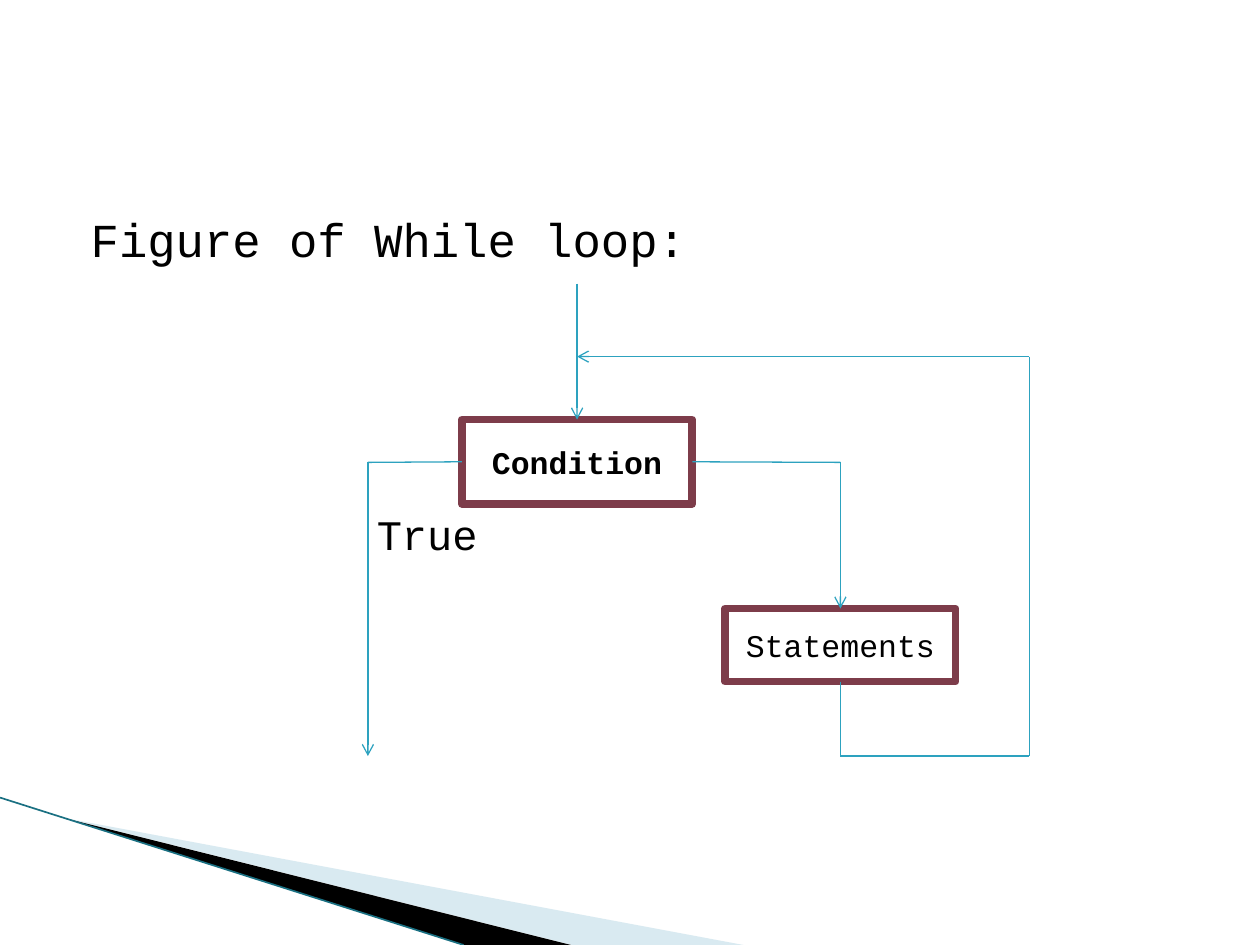
from lxml import etree
from pptx import Presentation
from pptx.dml.color import RGBColor
from pptx.enum.shapes import MSO_CONNECTOR, MSO_SHAPE
from pptx.enum.text import MSO_ANCHOR, MSO_AUTO_SIZE, PP_ALIGN
from pptx.oxml.ns import qn
from pptx.util import Inches, Pt

BLACK = RGBColor(0x00, 0x00, 0x00)
WHITE = RGBColor(0xFF, 0xFF, 0xFF)
MAROON = RGBColor(0x7D, 0x3C, 0x4A)
TEAL = RGBColor(0x2D, 0xA2, 0xBF)
DARK_TEAL = RGBColor(0x1A, 0x70, 0x82)
PALE_BLUE = RGBColor(0xA0, 0xCB, 0xDC)

STRAIGHT = MSO_CONNECTOR.STRAIGHT
RECTANGLE = MSO_SHAPE.RECTANGLE
MIDDLE, CENTER = MSO_ANCHOR.MIDDLE, PP_ALIGN.CENTER
NO_AUTOFIT = MSO_AUTO_SIZE.NONE
TOP, LEFT, BOTTOM, RIGHT = range(4)


class FlowSlide:
    font = "Courier New"

    def __init__(self, slide):
        self.slide = slide
        self.shapes = slide.shapes

    def style_text(self, paragraph, size, bold=False):
        paragraph.font.name = self.font
        paragraph.font.size = Pt(size)
        paragraph.font.bold = bold
        paragraph.font.color.rgb = BLACK

    def body(self, lines, left, top, width, height):
        """Fill the body with (text, size, left margin, indent, space before) lines."""
        body = self.slide.placeholders[1]
        body.left, body.top = Inches(left), Inches(top)
        body.width, body.height = Inches(width), Inches(height)
        frame = body.text_frame
        frame.auto_size = NO_AUTOFIT
        for number, (text, size, margin, indent, before) in enumerate(lines):
            paragraph = frame.add_paragraph() if number else frame.paragraphs[0]
            paragraph.text = text
            paragraph.space_before = Pt(before)
            self.style_text(paragraph, size)
            properties = paragraph._p.get_or_add_pPr()
            properties.set("marL", str(Inches(margin)))
            properties.set("indent", str(Inches(indent)))
            etree.SubElement(properties, qn("a:buNone"))
            # The schema wants the bullet ahead of the default run properties.
            properties.append(properties.find(qn("a:defRPr")))

    def box(self, text, left, top, width, height, bold=False):
        box = self.shapes.add_shape(
            RECTANGLE, Inches(left), Inches(top), Inches(width), Inches(height))
        box.shadow.inherit = False
        box.fill.solid()
        box.fill.fore_color.rgb = WHITE
        box.line.color.rgb = MAROON
        box.line.width = Pt(4.33)
        frame = box.text_frame
        frame.vertical_anchor = MIDDLE
        paragraph = frame.paragraphs[0]
        paragraph.text = text
        paragraph.alignment = CENTER
        self.style_text(paragraph, 18, bold)
        return box

    def line(self, start, end, arrow=False, begin=None, finish=None,
             color=TEAL, width=0.75):
        """Draw a line; begin and finish are optional (box, side) joints."""
        line = self.shapes.add_connector(
            STRAIGHT, *(Inches(value) for value in (*start, *end)))
        if begin:
            line.begin_connect(*begin)
        if finish:
            line.end_connect(*finish)
        line.line.color.rgb = color
        line.line.width = Pt(width)
        if arrow:
            etree.SubElement(line.line._get_or_add_ln(), qn("a:tailEnd"), type="arrow")
        etree.SubElement(line._element.spPr, qn("a:effectLst"))

    def wedge(self, points, color, opacity=100):
        corners = [(Inches(x), Inches(y)) for x, y in points]
        builder = self.shapes.build_freeform(*corners[0])
        builder.add_line_segments(corners[1:], close=True)
        wedge = builder.convert_to_shape()
        wedge.shadow.inherit = False
        wedge.fill.solid()
        wedge.fill.fore_color.rgb = color
        wedge.line.fill.background()
        if opacity < 100:
            tint = wedge._element.spPr.find(qn("a:solidFill"))[0]
            etree.SubElement(tint, qn("a:alpha"), val=str(opacity * 1000))


def main():
    presentation = Presentation()
    presentation.slide_width = Inches(10)
    presentation.slide_height = Inches(7.5)
    slide = presentation.slides.add_slide(presentation.slide_layouts[1])
    title = slide.shapes.title._element
    title.getparent().remove(title)
    flow = FlowSlide(slide)

    flow.wedge([(0.55, 6.5), (5.9, 7.5), (4.54, 7.5)], PALE_BLUE, opacity=40)
    flow.wedge([(0.54, 6.5), (4.53, 7.5), (3.68, 7.5)], BLACK)
    flow.line((0, 6.33), (3.68, 7.5), color=DARK_TEAL, width=0.95)

    flow.body([("Figure of While loop:", 27, 0.4, -0.28, 4),
               ("True", 24, 2.39, 0, 138)], 0.5, 1.62, 9, 4.95)

    box_width = 1.83
    entry_x, loop_x = 4.58, 6.67
    exit_x, return_x = 2.92, 8.17
    return_y, test_y, bottom_y = 2.83, 3.67, 6
    condition = flow.box("Condition", entry_x - box_width / 2, 3.33,
                         box_width, 0.67, bold=True)
    statements = flow.box("Statements", loop_x - box_width / 2, 4.83,
                          box_width, 0.58)

    # Exit branch
    flow.line((3.67, test_y), (exit_x, test_y), begin=(condition, LEFT))
    flow.line((exit_x, test_y), (exit_x, bottom_y), arrow=True)
    # Way back from the statements to the test
    flow.line((loop_x, 5.42), (loop_x, bottom_y), begin=(statements, BOTTOM))
    flow.line((loop_x, bottom_y), (return_x, bottom_y))
    flow.line((return_x, bottom_y), (return_x, return_y))
    flow.line((return_x, return_y), (entry_x, return_y), arrow=True)
    # Entry and loop branch
    flow.line((entry_x, 2.25), (entry_x, 3.33), arrow=True, finish=(condition, TOP))
    flow.line((5.5, test_y), (loop_x, test_y), begin=(condition, RIGHT))
    flow.line((loop_x, test_y), (loop_x, 4.83), arrow=True, finish=(statements, TOP))

    presentation.save("out.pptx")


if __name__ == "__main__":
    main()
